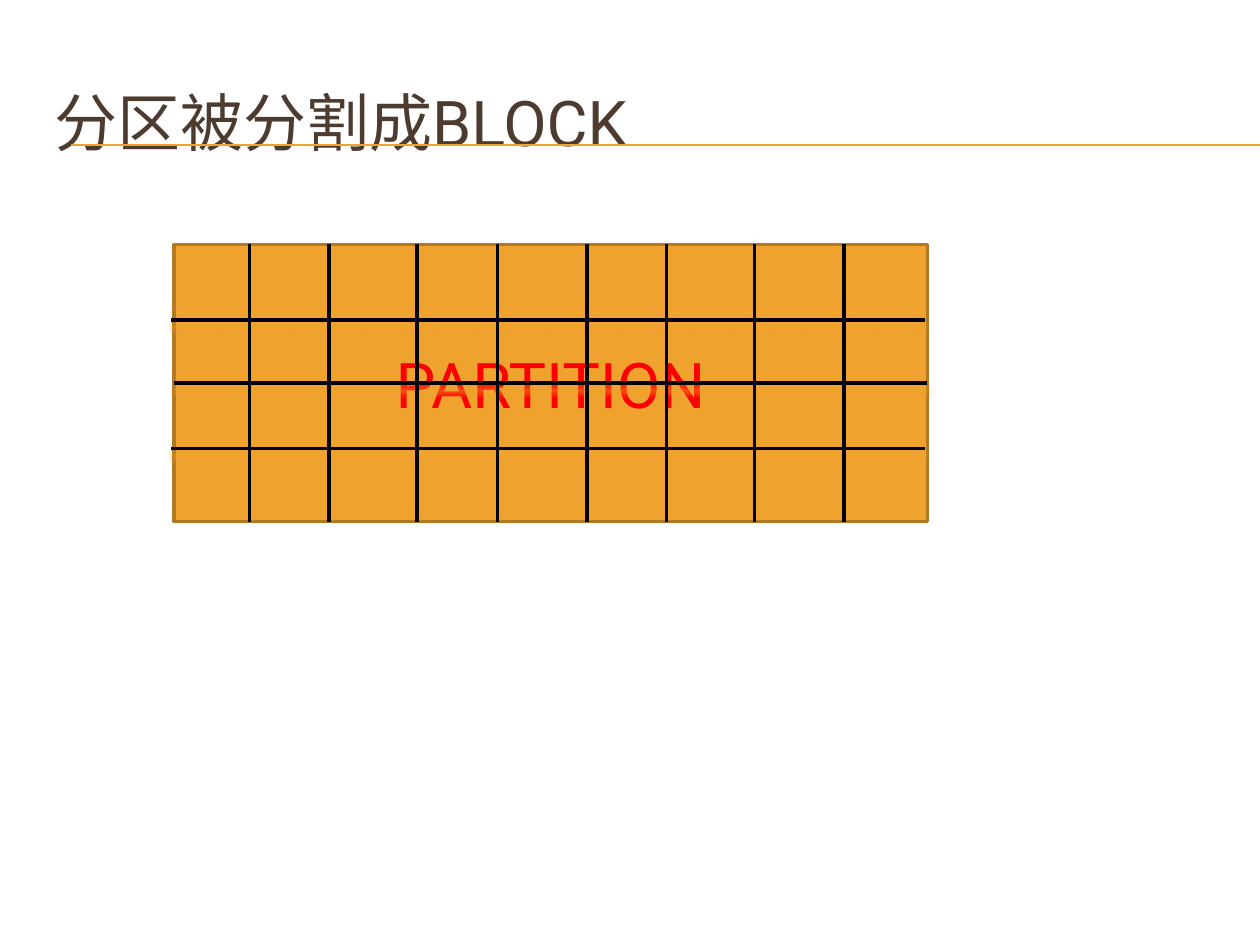
from lxml.etree import SubElement
from pptx import Presentation
from pptx.dml.color import RGBColor
from pptx.enum.shapes import MSO_CONNECTOR, MSO_SHAPE
from pptx.enum.text import MSO_ANCHOR, PP_ALIGN
from pptx.oxml.ns import qn
from pptx.util import Inches, Pt

FONT = "Roboto"
ORANGE = "F0A22E"
ROW_LINES = [(-0.02, 0.6), (0, 1.1), (-0.02, 1.62)]  # left shift, offset from top
COLUMN_OFFSETS = [0.6, 1.23, 1.93, 2.57, 3.28, 3.91, 4.61, 5.32]


def color(value):
    """Turn a hex string into a colour."""
    return RGBColor.from_string(value)


def format_text(paragraph, text, text_color, alignment):
    """Write one 36 point line of text."""
    paragraph.text = text
    paragraph.alignment = alignment
    paragraph.font.name = FONT
    paragraph.font.size = Pt(36)
    paragraph.font.color.rgb = color(text_color)


def add_line(slide, start, end, line_color, width, glow=None):
    """Draw a straight line, with an optional soft shadow below it."""
    line = slide.shapes.add_connector(
        MSO_CONNECTOR.STRAIGHT, *map(Inches, start + end))
    line.line.color.rgb = color(line_color)
    line.line.width = Pt(width)
    effects = SubElement(line._element.spPr, qn("a:effectLst"))
    if glow:
        shadow = SubElement(effects, qn("a:outerShdw"), blurRad=str(Pt(4)),
                            dist=str(Pt(4)), dir="5400000", rotWithShape="0")
        SubElement(shadow, qn("a:srgbClr"), val=glow)


def add_title(slide, left, top, width, height):
    """Place the title and the rule that runs to the slide's right edge."""
    add_line(slide, (left + 0.23, top + 0.65), (10, top + 0.65), ORANGE, 0.75)
    title = slide.shapes.title
    title.left, title.top = Inches(left), Inches(top)
    title.width, title.height = Inches(width), Inches(height)
    frame = title.text_frame
    frame.word_wrap = True
    frame.vertical_anchor = MSO_ANCHOR.MIDDLE
    format_text(frame.paragraphs[0], "分区被分割成BLOCK", "4E3B30", PP_ALIGN.LEFT)


def add_partition(slide, left, top, width, height):
    """Draw the partition and the lines that cut it into blocks."""
    partition = slide.shapes.add_shape(
        MSO_SHAPE.RECTANGLE, *map(Inches, (left, top, width, height)))
    partition.shadow.inherit = False
    partition.fill.solid()
    partition.fill.fore_color.rgb = color(ORANGE)
    partition.line.color.rgb = color("B27822")
    partition.line.width = Pt(2)
    frame = partition.text_frame
    frame.vertical_anchor = MSO_ANCHOR.MIDDLE
    format_text(frame.paragraphs[0], "PARTITION", "FF0000", PP_ALIGN.CENTER)

    for shift, offset in ROW_LINES:
        x, y = left + shift, top + offset
        add_line(slide, (x, y), (x + width, y), "000000", 2, glow=ORANGE)
    for offset in COLUMN_OFFSETS:
        x = left + offset
        add_line(slide, (x, top), (x, top + height), "000000", 2)


def main():
    """Build and save the presentation."""
    presentation = Presentation()
    presentation.slide_width = Inches(10)
    presentation.slide_height = Inches(7.5)
    slide = presentation.slides.add_slide(presentation.slide_layouts[5])
    add_title(slide, 0.33, 0.5, 9.5, 0.92)
    add_partition(slide, 1.38, 1.94, 5.98, 2.2)
    presentation.save("out.pptx")


main()
